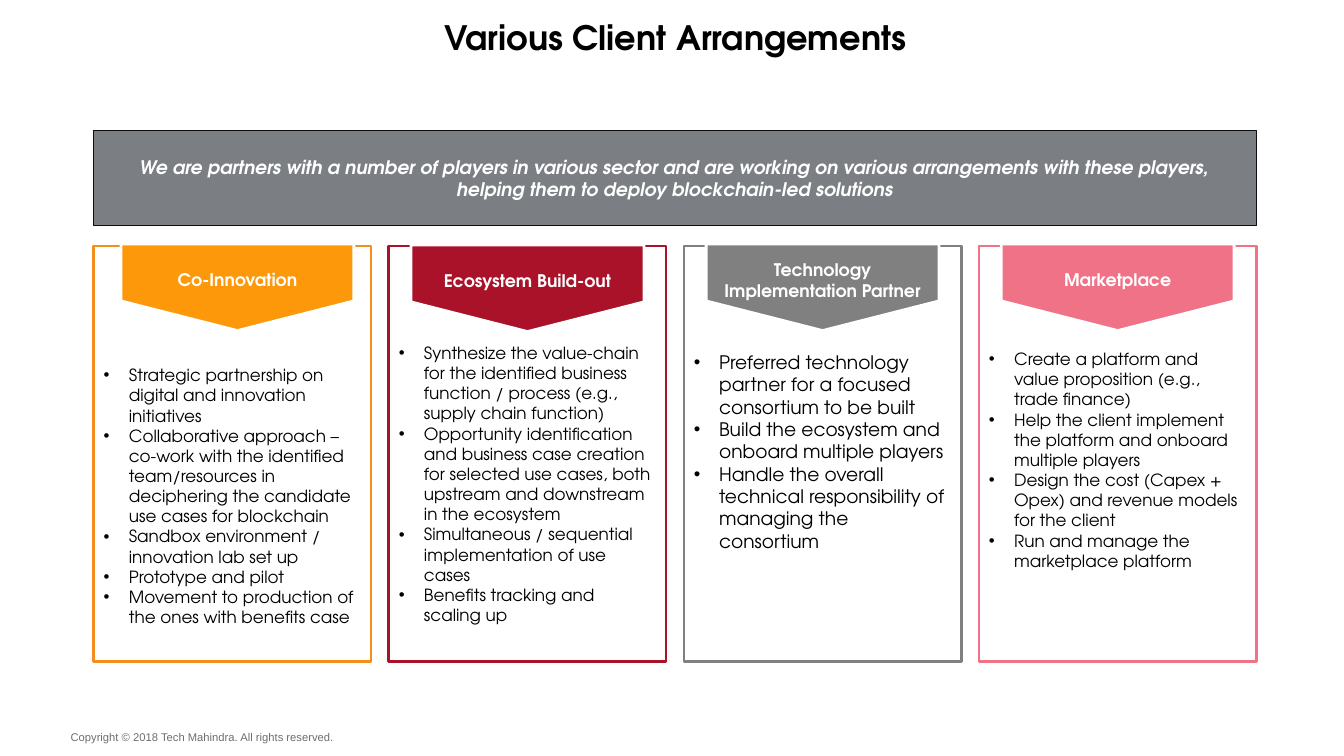
"""Builds the slide on client arrangements."""
from dataclasses import dataclass

from lxml import etree
from pptx import Presentation
from pptx.dml.color import RGBColor
from pptx.enum import shapes, text
from pptx.oxml import ns
from pptx.util import Inches, Pt

TITLE = "Various Client Arrangements"
INTRO = ("We are partners with a number of players in various sector and are working on "
         "various arrangements with these players, helping them to deploy "
         "blockchain-led solutions")
FOOTER = "Copyright © 2018 Tech Mahindra. All rights reserved."
CARDS = [
    dict(head="Co-Innovation", line="F3901D", fill="FC9809", size=12, inset=1.18,
         nudge=(0.05, 0), items=[
             "Strategic partnership on digital and innovation initiatives",
             "Collaborative approach – co-work with the identified team/resources in "
             "deciphering the candidate use cases for blockchain",
             "Sandbox environment / innovation lab set up",
             "Prototype and pilot",
             "Movement to production of the ones with benefits case"]),
    dict(head="Ecosystem Build-out", line="AA1229", fill="AA1229", size=12, inset=0.96,
         nudge=(0, 0.01), items=[
             "Synthesize the value-chain for the identified business function / process "
             "(e.g., supply chain function)",
             "Opportunity identification and business case creation for selected use "
             "cases, both upstream and downstream in the ecosystem",
             "Simultaneous / sequential implementation of use cases",
             "Benefits tracking and scaling up"]),
    dict(head="Technology Implementation Partner", line="808080", fill="808080",
         size=13.3, inset=1.04, nudge=(0, 0), items=[
             "Preferred technology partner for a focused consortium to be built",
             "Build the ecosystem and onboard multiple players",
             "Handle the overall technical responsibility of managing the consortium"]),
    dict(head="Marketplace", line="F07286", fill="F07286", size=12, inset=1.02,
         nudge=(0, 0), items=[
             "Create a platform and value proposition (e.g., trade finance)",
             "Help the client implement the platform and onboard multiple players",
             "Design the cost (Capex + Opex) and revenue models for the client",
             "Run and manage the marketplace platform"]),
]


@dataclass(frozen=True)
class Theme:
    """Fonts, colours and type sizes."""
    face: str = "TeX Gyre Adventor"
    plain: str = "Arial"
    ink: str = "000000"
    white: str = "FFFFFF"
    band: str = "7B7E83"
    edge: str = "0D0D0D"
    note: str = "6D6E71"
    title: float = 24
    intro: float = 13.3
    head: float = 12.4
    small: float = 8


LOOK = Theme()
LEFT, WIDE = 0.93, 11.53
TOP, CARD_W, CARD_H = 2.44, 2.75, 4.12
FLAG_W, FLAG_H = 2.31, 0.86
STEP = (WIDE - CARD_W) / (len(CARDS) - 1)


def place(shape, x, y, w, h):
    """Set the position and size in inches."""
    shape.left, shape.top, shape.width, shape.height = map(Inches, (x, y, w, h))


def style(par, size, color, face=LOOK.face, bold=False, italic=False,
          align=text.PP_ALIGN.CENTER):
    """Format the runs of one paragraph."""
    par.alignment = align
    for run in par.runs:
        font = run.font
        font.name, font.size = face, Pt(size)
        font.bold, font.italic = bold, italic
        font.color.rgb = RGBColor.from_string(color)


def block(slide, kind, box, fill, line, width):
    """Add a preset shape with a flat fill and line."""
    shape = slide.shapes.add_shape(kind, *map(Inches, box))
    shape.shadow.inherit = False
    if fill:
        shape.fill.solid()
        shape.fill.fore_color.rgb = RGBColor.from_string(fill)
    else:
        shape.fill.background()
    shape.line.color.rgb = RGBColor.from_string(line)
    shape.line.width = Pt(width)
    shape.text_frame.word_wrap = True
    return shape


def bullet(par):
    """Give a paragraph a hanging round bullet."""
    props = par._p.get_or_add_pPr()
    props.set("marL", str(Inches(0.25)))
    props.set("indent", str(-Inches(0.25)))
    etree.SubElement(props, ns.qn("a:buFont")).set("typeface", LOOK.plain)
    etree.SubElement(props, ns.qn("a:buChar")).set("char", "•")


def card(slide, x, data):
    """Add an outlined box with its list."""
    shape = block(slide, shapes.MSO_SHAPE.RECTANGLE, (x, TOP, CARD_W, CARD_H),
                  None, data["line"], 2)
    frame = shape.text_frame
    frame.vertical_anchor = text.MSO_ANCHOR.TOP
    frame.margin_top = Inches(data["inset"])
    frame.text = "\n".join(data["items"])
    for par in frame.paragraphs:
        bullet(par)
        style(par, data["size"], LOOK.ink, align=text.PP_ALIGN.LEFT)


def flag(slide, x, data):
    """Add the downward heading of a box."""
    dx, dy = data["nudge"]
    left = x + (CARD_W - FLAG_H) / 2 + dx
    top = TOP + (FLAG_H - FLAG_W) / 2 - 0.02 + dy
    shape = block(slide, shapes.MSO_SHAPE.PENTAGON, (left, top, FLAG_H, FLAG_W),
                  data["fill"], LOOK.white, 2)
    shape.rotation = 90
    shape.adjustments[0] = 0.342
    shape.element.txBody.bodyPr.set("vert", "vert270")
    frame = shape.text_frame
    frame.vertical_anchor = text.MSO_ANCHOR.MIDDLE
    frame.text = data["head"]
    style(frame.paragraphs[0], LOOK.head, LOOK.white, bold=True)


def bare(frame):
    """Clear the margins of a text frame."""
    frame.margin_left = frame.margin_right = frame.margin_top = frame.margin_bottom = 0
    frame.auto_size = text.MSO_AUTO_SIZE.NONE


def main():
    """Build and save the slide."""
    deck = Presentation()
    deck.slide_width, deck.slide_height = Inches(13.33), Inches(7.5)
    slide = deck.slides.add_slide(deck.slide_layouts[5])

    title = slide.shapes.title
    place(title, 0.7, 0.17, 11.99, 0.4)
    bare(title.text_frame)
    title.text_frame.text = TITLE
    style(title.text_frame.paragraphs[0], LOOK.title, LOOK.ink, bold=True)

    spots = [LEFT + i * STEP for i in range(len(CARDS))]
    for draw in (card, flag):
        for x, data in zip(spots, CARDS):
            draw(slide, x, data)

    band = block(slide, shapes.MSO_SHAPE.RECTANGLE, (LEFT, 1.29, WIDE, 0.95),
                 LOOK.band, LOOK.edge, 0.75)
    band.text_frame.text = INTRO
    style(band.text_frame.paragraphs[0], LOOK.intro, LOOK.white, bold=True, italic=True)

    foot = slide.shapes.add_textbox(*map(Inches, (0.7, 7.25, 2.66, 0.13)))
    bare(foot.text_frame)
    foot.text_frame.text = FOOTER
    style(foot.text_frame.paragraphs[0], LOOK.small, LOOK.note, LOOK.plain,
          align=text.PP_ALIGN.LEFT)
    deck.save("out.pptx")


if __name__ == "__main__":
    main()
